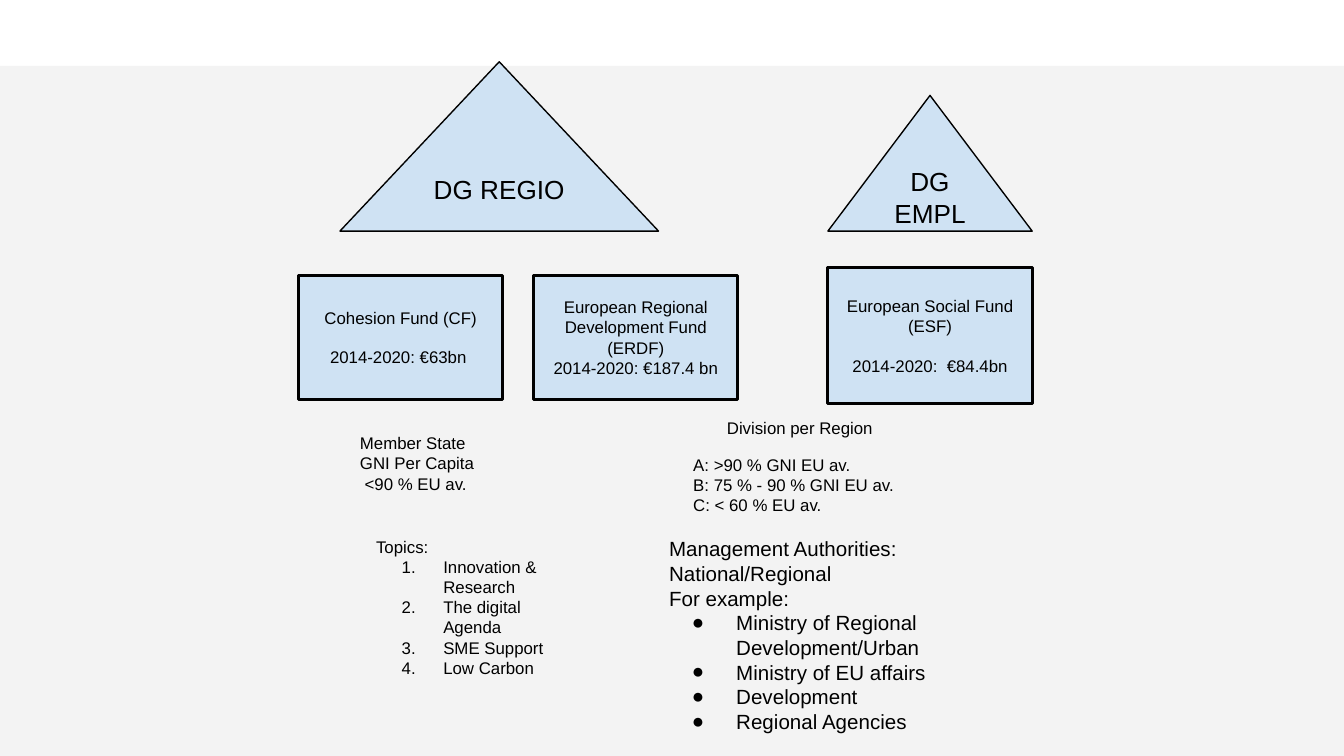
from lxml.etree import SubElement
from pptx import Presentation
from pptx.dml.color import RGBColor
from pptx.enum.shapes import MSO_SHAPE as Shape
from pptx.enum.text import MSO_ANCHOR as Anchor, PP_ALIGN as Align
from pptx.oxml.ns import qn
from pptx.util import Inches, Pt

BLACK = RGBColor(0x00, 0x00, 0x00)
PALE_BLUE = RGBColor(0xCF, 0xE2, 0xF3)
PALE_GREY = RGBColor(0xF3, 0xF3, 0xF3)

WIDTH = 10
HEIGHT = WIDTH * 9 / 16
BAND_TOP = 0.49
INSET = 0.1
FONT = "Arial"
SMALL, MEDIUM, LARGE = 9, 11, 14
LINE_GAP = Pt(10.5)  # one line of small text

# Columns and rows shared by the diagram
BOX_WIDTH = 1.52
CF_LEFT, ERDF_LEFT, ESF_LEFT = 2.22, 3.97, 6.16
TRIANGLE_BASE, FUND_TOP, LIST_TOP = 1.72, 2.05, 3.89

# Directorates: name, left, width, height
DIRECTORATES = [
    ("DG REGIO", 2.53, 2.37, 1.26),
    ("DG EMPL", ESF_LEFT, BOX_WIDTH, 1.01),
]

# Funds: lines, left, top, height, gap above the budget
FUNDS = [
    (["European Regional Development Fund (ERDF)", "2014-2020: €187.4 bn"],
     ERDF_LEFT, FUND_TOP, 0.92, 0),
    (["Cohesion Fund (CF)", "2014-2020: €63bn "],
     CF_LEFT, FUND_TOP, 0.92, LINE_GAP),
    (["European Social Fund (ESF)", "2014-2020:  €84.4bn"],
     ESF_LEFT, 1.99, 1.01, LINE_GAP),
]

# Notes: plain lines, list items, list marker, font size, (left, top, width, height)
NUMBERS = ("buAutoNum", {"type": "arabicPeriod"}, -0.31)
DOTS = ("buChar", {"char": "●"}, -0.33)
NOTES = [
    (["Division per Region"], [], None, SMALL, (5.31, 3.03, BOX_WIDTH, 0.34)),
    (["Member State\vGNI Per Capita", " <90 % EU av."], [], None, SMALL,
     (2.58, 3.12, 1.05, 0.61)),
    (["A: >90 % GNI EU av.", "B: 75 % - 90 % GNI EU av.", "C: < 60 % EU av."],
     [], None, SMALL, (5.06, 3.28, 1.87, 0.61)),
    (["Management Authorities:", "National/Regional", "For example:"],
     ["Ministry of Regional Development/Urban", "Ministry of EU affairs",
      "Development", "Regional Agencies"],
     DOTS, MEDIUM, (4.88, LIST_TOP, 3.1, 1.62)),
    (["Topics:"],
     ["Innovation & Research", "The digital Agenda", "SME Support", "Low Carbon"],
     NUMBERS, SMALL, (2.7, LIST_TOP, 1.69, 1.11)),
]


def write_lines(shape, lines, size, align, anchor):
    """Fill the shape with one paragraph per line and return the paragraphs."""
    frame = shape.text_frame
    frame.word_wrap = True
    frame.vertical_anchor = anchor
    frame.margin_left = frame.margin_right = Inches(INSET)
    frame.margin_top = frame.margin_bottom = Inches(INSET)
    for index, line in enumerate(lines):
        paragraph = frame.add_paragraph() if index else frame.paragraphs[0]
        paragraph.text = line
        paragraph.alignment = align
        paragraph.font.name = FONT
        paragraph.font.size = Pt(size)
        paragraph.font.color.rgb = BLACK
    return frame.paragraphs


def add_marker(paragraph, marker):
    """Give the paragraph a bullet or number with a hanging indent."""
    tag, attributes, indent = marker
    properties = paragraph._p.get_or_add_pPr()
    properties.set("marL", str(Inches(0.5)))
    properties.set("indent", str(Inches(indent)))
    font = SubElement(properties, qn("a:buFont"), {"typeface": FONT})
    bullet = SubElement(properties, qn(f"a:{tag}"), attributes)
    properties.insert(0, font)  # markers come before the font defaults
    properties.insert(1, bullet)


def add_block(slide, kind, box, fill, line_width=None):
    shape = slide.shapes.add_shape(kind, *map(Inches, box))
    shape.shadow.inherit = False
    shape.fill.solid()
    shape.fill.fore_color.rgb = fill
    if line_width:
        shape.line.color.rgb = BLACK
        shape.line.width = Pt(line_width)
    else:
        shape.line.fill.background()
    return shape


def main():
    presentation = Presentation()
    presentation.slide_width = Inches(WIDTH)
    presentation.slide_height = Inches(HEIGHT)
    slide = presentation.slides.add_slide(presentation.slide_layouts[6])

    # Grey band behind the diagram
    add_block(slide, Shape.RECTANGLE, (0, BAND_TOP, WIDTH, HEIGHT - BAND_TOP), PALE_GREY)

    # Funds
    for lines, left, top, height, gap in FUNDS:
        box = add_block(slide, Shape.RECTANGLE, (left, top, BOX_WIDTH, height), PALE_BLUE, 1.5)
        paragraphs = write_lines(box, lines, SMALL, Align.CENTER, Anchor.MIDDLE)
        paragraphs[-1].space_before = gap

    # Directorates stand on a common base line
    for name, left, width, height in DIRECTORATES:
        triangle = add_block(slide, Shape.ISOSCELES_TRIANGLE,
                             (left, TRIANGLE_BASE - height, width, height), PALE_BLUE, 0.75)
        write_lines(triangle, [name], LARGE, Align.CENTER, Anchor.MIDDLE)

    # Notes and lists
    for lines, items, marker, size, box in NOTES:
        note = slide.shapes.add_textbox(*map(Inches, box))
        paragraphs = write_lines(note, lines + items, size, Align.LEFT, Anchor.TOP)
        for paragraph in paragraphs[len(lines):]:
            add_marker(paragraph, marker)

    presentation.save("out.pptx")


if __name__ == "__main__":
    main()
